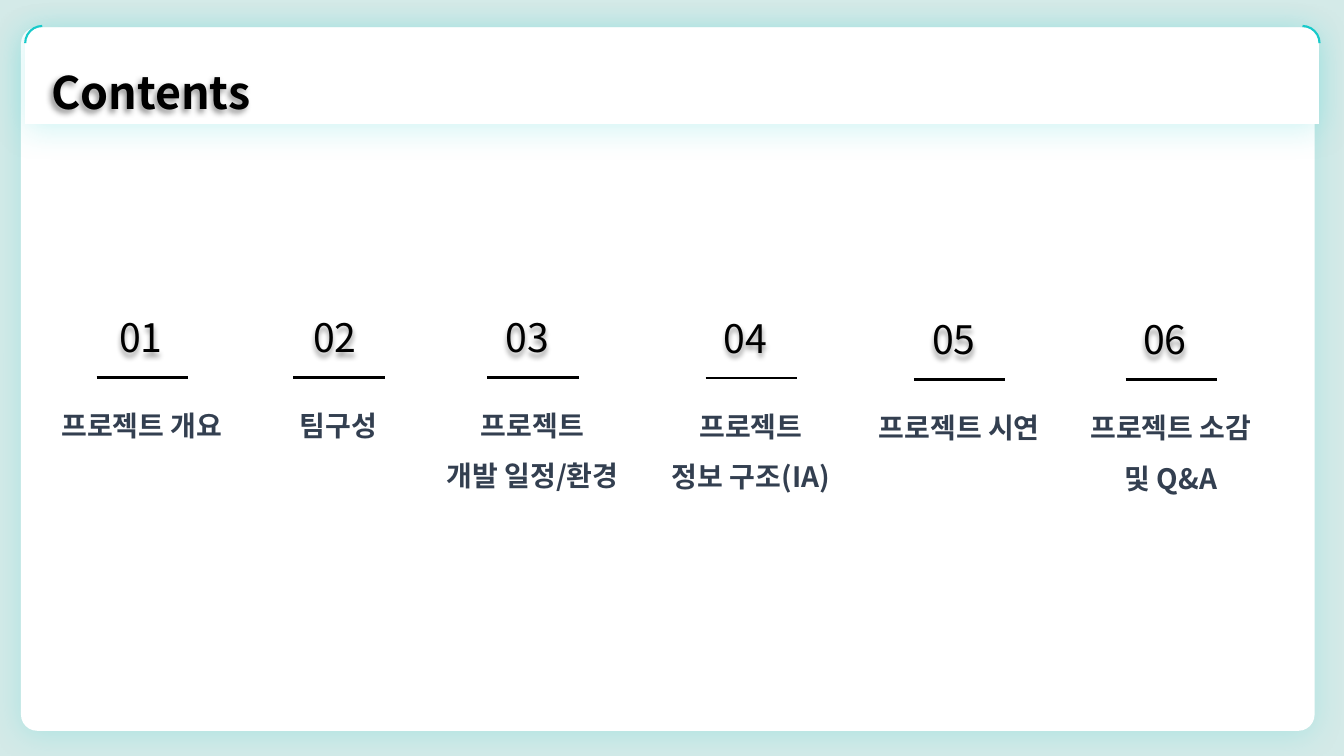
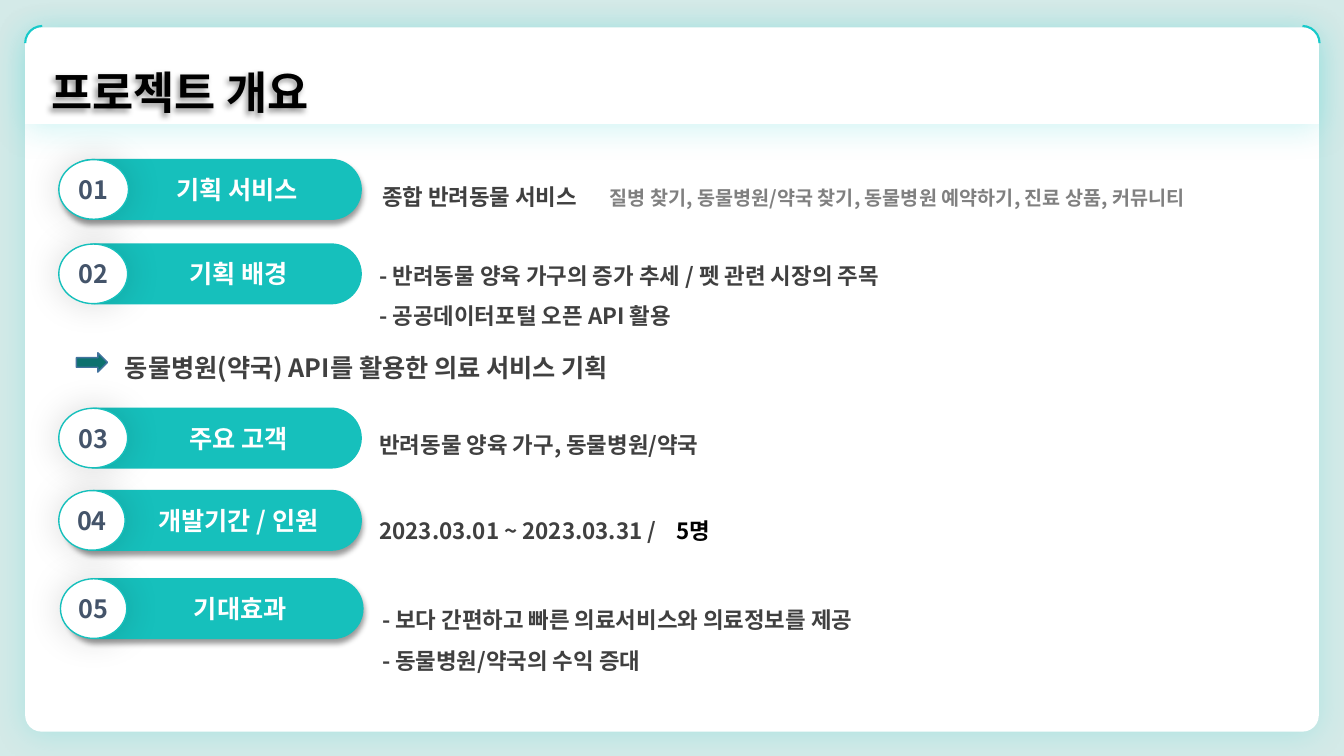
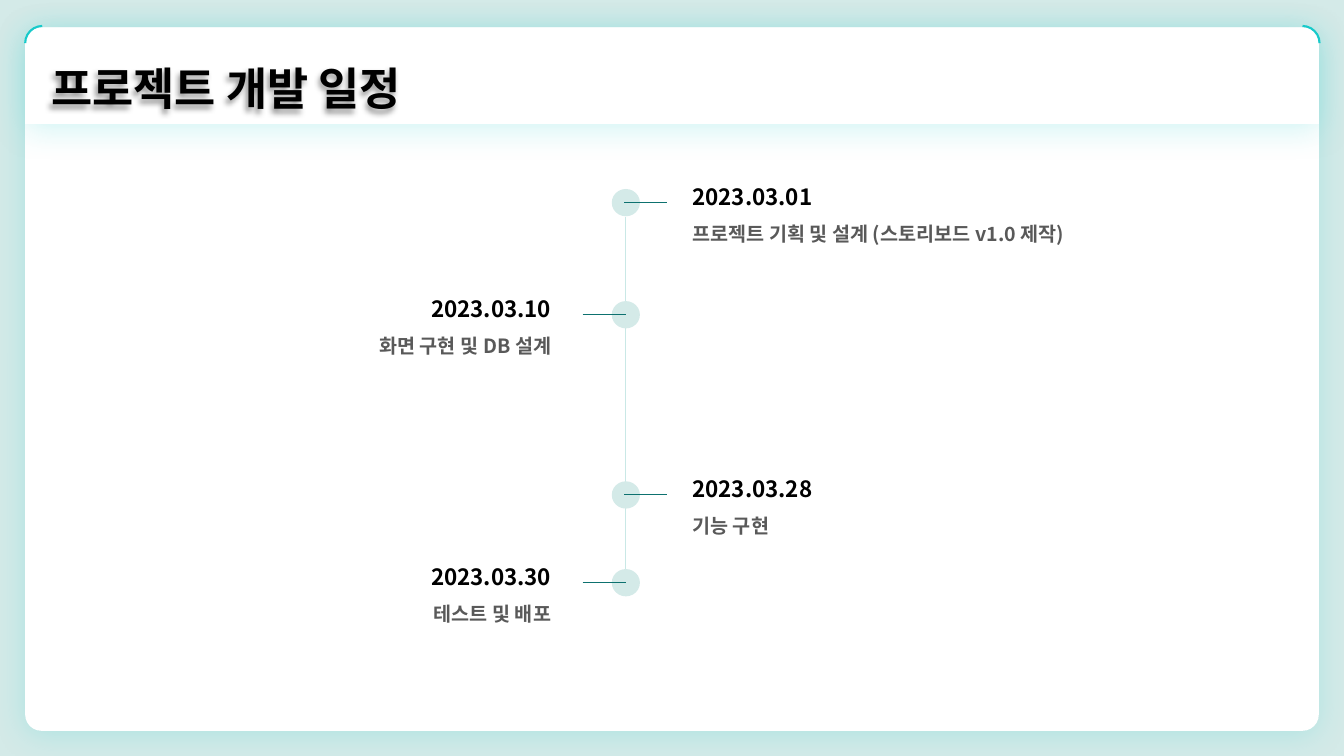
from dataclasses import dataclass
from typing import NamedTuple, Optional

from lxml import etree
from pptx import Presentation
from pptx.dml.color import RGBColor
from pptx.enum.shapes import MSO_CONNECTOR, MSO_SHAPE
from pptx.enum.text import MSO_ANCHOR, MSO_AUTO_SIZE, PP_ALIGN
from pptx.oxml.ns import qn
from pptx.util import Emu, Inches, Pt

LEFT, MID, RIGHT = PP_ALIGN.LEFT, PP_ALIGN.CENTER, PP_ALIGN.RIGHT
CARD, BAND = MSO_SHAPE.ROUNDED_RECTANGLE, MSO_SHAPE.ROUND_2_SAME_RECTANGLE
ARC, OVAL, ARROW = MSO_SHAPE.ARC, MSO_SHAPE.OVAL, MSO_SHAPE.RIGHT_ARROW
LINE = MSO_CONNECTOR.STRAIGHT
MIDDLE, GROW = MSO_ANCHOR.MIDDLE, MSO_AUTO_SIZE.SHAPE_TO_FIT_TEXT

# Grid: 160 columns by 90 rows of square cells
COLS, ROWS = 160, 90
CELL = Inches(7.5) / ROWS


# Theme
@dataclass(frozen=True)
class Theme:
    font: str = "Noto Sans CJK KR"
    back: str = "D4EAE8"
    white: str = "FFFFFF"
    black: str = "000000"
    glow: str = "18CACA"
    teal: str = "16C0BC"
    deep: str = "0D716F"
    edge: str = "43739E"
    axis: str = "C9E8E6"
    navy: str = "333F50"
    slate: str = "44546A"
    body: str = "404040"
    soft: str = "595959"
    pale: str = "808080"
    title: int = 32
    digit: int = 28
    label: int = 20
    head: int = 18
    text: int = 16
    small: int = 14


T = Theme()


class Box(NamedTuple):
    x: float
    y: float
    w: float
    h: float


class Shade(NamedTuple):
    color: str
    alpha: int
    blur: int
    dist: int
    angle: int


class Part(NamedTuple):
    text: str
    size: int
    color: str
    bold: bool = True


class Pen(NamedTuple):
    color: str
    width: float


Para = list[Part]

HALO = Shade(T.glow, 20, 23, 3, 90)
LIFT = Shade(T.black, 40, 4, 3, 90)
MIST = Shade(T.black, 14, 26, 0, 0)
CAST = Shade(T.black, 40, 4, 3, 135)


# Drawing tools
def cells(*nums: float) -> list[Emu]:
    return [Emu(round(n * CELL)) for n in nums]


def rgb(code: str) -> RGBColor:
    return RGBColor.from_string(code)


def cast(shape, shade: Optional[Shade]) -> None:
    shape.shadow.inherit = False
    if shade is None:
        return
    effects = shape._element.spPr.find(qn("a:effectLst"))
    outer = etree.SubElement(effects, qn("a:outerShdw"), {
        "blurRad": str(Pt(shade.blur)), "dist": str(Pt(shade.dist)),
        "dir": str(shade.angle * 60000), "algn": "ctr", "rotWithShape": "0"})
    tint = etree.SubElement(outer, qn("a:srgbClr"), val=shade.color)
    etree.SubElement(tint, qn("a:alpha"), val=str(shade.alpha * 1000))


def write(shape, paras: list[Para], align: PP_ALIGN = LEFT,
          space: Optional[float] = None, tab: float = 0) -> None:
    frame = shape.text_frame
    for i, parts in enumerate(paras):
        para = frame.paragraphs[0] if i == 0 else frame.add_paragraph()
        para.alignment = align
        if space:
            para.line_spacing = space
        if tab:
            stops = etree.SubElement(para._p.get_or_add_pPr(), qn("a:tabLst"))
            etree.SubElement(stops, qn("a:tab"),
                             pos=str(cells(tab)[0]), algn="l")
        for part in parts:
            run = para.add_run()
            run.text = part.text
            font = run.font
            font.name, font.size, font.bold = T.font, Pt(part.size), part.bold
            font.color.rgb = rgb(part.color)
            etree.SubElement(run._r.rPr, qn("a:ea"), typeface=T.font)


def shape(slide, kind: MSO_SHAPE, box: Box, fill: Optional[str] = None,
          pen: Optional[Pen] = None, shade: Optional[Shade] = None,
          adj: tuple[float, ...] = ()):
    item = slide.shapes.add_shape(kind, *cells(*box))
    for i, value in enumerate(adj):
        item.adjustments[i] = value
    if fill:
        item.fill.solid()
        item.fill.fore_color.rgb = rgb(fill)
    else:
        item.fill.background()
    if pen:
        item.line.color.rgb = rgb(pen.color)
        item.line.width = Pt(pen.width)
    else:
        item.line.fill.background()
    cast(item, shade)
    return item


def text(slide, box: Box, paras: list[Para], align: PP_ALIGN = LEFT,
         space: Optional[float] = None, tab: float = 0,
         shade: Optional[Shade] = None) -> None:
    item = slide.shapes.add_textbox(*cells(*box))
    item.text_frame.word_wrap = True
    item.text_frame.auto_size = GROW
    write(item, paras, align, space, tab)
    if shade:
        cast(item, shade)


def line(slide, x1: float, y1: float, x2: float, y2: float, pen: Pen) -> None:
    item = slide.shapes.add_connector(LINE, *cells(x1, y1, x2, y2))
    item.line.color.rgb = rgb(pen.color)
    item.line.width = Pt(pen.width)
    etree.SubElement(item._element.spPr, qn("a:effectLst"))


# Shared frame: card, title band, corner arcs, title
def page(deck, title: str, x: float = 3, y: float = 3.25,
         top: float = 7.1, wide: float = 56.2):
    slide = deck.slides.add_slide(deck.slide_layouts[6])
    shape(slide, CARD, Box(x, y, 154, 83.75), T.white, shade=HALO,
          adj=(0.023,))
    shape(slide, BAND, Box(3, 3.25, 154, 11.5), T.white, shade=HALO)
    for left, flip in ((3, "0"), (153, "1")):
        arc = shape(slide, ARC, Box(left, 3.1, 4.1, 4.1),
                    pen=Pen(T.glow, 1.5), adj=(108.1, 161.63))
        arc._element.spPr.xfrm.set("flipH", flip)
    text(slide, Box(4.9, top, wide, 7.7), [[Part(title, T.title, T.black)]],
         shade=CAST)
    return slide


# Contents
class Topic(NamedTuple):
    x: float
    digit: float
    drop: float
    lines: tuple[str, ...]


TOPICS = (
    Topic(3.7, 13, 0, ("프로젝트 개요",)),
    Topic(27.1, 36.1, 0, ("팀구성",)),
    Topic(50.2, 59, 0, ("프로젝트", "개발 일정/환경")),
    Topic(76.2, 85, 0.1, ("프로젝트", "정보 구조(IA)")),
    Topic(101, 109.8, 0.3, ("프로젝트 시연",)),
    Topic(126.2, 134.9, 0.3, ("프로젝트 소감", "및 Q&A")),
)


def contents(deck) -> None:
    slide = page(deck, "Contents", x=2.5)
    for i, topic in enumerate(TOPICS, 1):
        text(slide, Box(topic.digit, 36.7 + topic.drop, 15, 6.8),
             [[Part(f"{i:02}", T.digit, T.black, False)]], shade=LIFT)
        rule, y = topic.x + 7.8, 44.9 + topic.drop
        line(slide, rule, y, rule + 10.9, y, Pen(T.black, 2))
        text(slide, Box(topic.x, 46 + topic.drop, 26.4,
                        6.65 * len(topic.lines)),
             [[Part(s, T.label, T.navy)] for s in topic.lines], MID, 1.5)


# Overview
class Item(NamedTuple):
    name: str
    y: float
    edge: float
    inset: float
    badge: float
    shade: Optional[Shade]
    note: Box
    paras: list[Para]
    tab: float = 0


def body(words: str) -> Part:
    return Part(words, T.text, T.body)


ITEMS = (
    Item("기획 서비스", 19, 7, 0.4, 8.3, LIFT, Box(44.3, 19.6, 111.7, 6),
         [[body("종합 반려동물 서비스\t"),
           Part("질병 찾기, 동물병원/약국 찾기, 동물병원 예약하기, "
                "진료 상품, 커뮤니티", T.small, T.pale)]], 27.1),
    Item("기획 배경", 29.05, 7, 0.9, 8.2, None, Box(44, 29, 86.8, 10.9),
         [[body("- 반려동물 양육 가구의 증가 추세 / 펫 관련 시장의 주목")],
          [body("- 공공데이터포털 오픈 API 활용")]]),
    Item("주요 고객", 48.6, 7, 0.9, 8.2, None, Box(44, 49.1, 109, 5.6),
         [[body("반려동물 양육 가구, 동물병원/약국")]]),
    Item("개발기간 / 인원", 58.4, 7, 0.8, 7.9, LIFT, Box(44, 59.4, 109, 6),
         [[body("2023.03.01 ~ 2023.03.31 /\t"),
           Part("5명", T.text, T.black)]], 35.4),
    Item("기대효과", 68.9, 7.2, 0.8, 7.9, LIFT, Box(44.3, 70, 109, 10.4),
         [[body("- 보다 간편하고 빠른 의료서비스와 의료정보를 제공")],
          [body("- 동물병원/약국의 수익 증대")]]),
)


def overview(deck) -> None:
    slide = page(deck, "프로젝트 개요", y=3.35)
    pen = Pen(T.teal, 1)
    for i, item in enumerate(ITEMS, 1):
        pill = shape(slide, CARD,
                     Box(item.edge + item.inset, item.y,
                         36 - item.inset, 7.1),
                     T.teal, pen, item.shade, (0.5,))
        badge = shape(slide, OVAL, Box(item.edge, item.y, item.badge, 7.1),
                      T.white, pen, MIST)
        for part, words, color in ((pill, item.name, T.white),
                                   (badge, f"{i:02}", T.slate)):
            part.text_frame.vertical_anchor = MIDDLE
            part.text_frame.word_wrap = part is pill
            write(part, [[Part(words, T.head, color)]], MID)
        para = pill.text_frame.paragraphs[0]
        para._p.get_or_add_pPr().set("marL", str(Inches(0.5)))
        text(slide, item.note, item.paras, space=1.5, tab=item.tab)

    # Conclusion
    shape(slide, ARROW, Box(9.1, 42, 3.7, 2.3), T.deep, Pen(T.edge, 1))
    text(slide, Box(13.7, 39.5, 109, 6.7),
         [[Part("동물병원(약국) API를 활용한 의료 서비스 기획",
                T.head, T.body)]], space=1.5)


# Schedule
class Stage(NamedTuple):
    y: float
    date: str
    task: str
    left: bool
    wide: float


STAGES = (
    Stage(24.1, "2023.03.01", "프로젝트 기획 및 설계 (스토리보드 v1.0 제작)",
          False, 53),
    Stage(37.45, "2023.03.10", "화면 구현 및 DB 설계", True, 24.7),
    Stage(58.9, "2023.03.28", "기능 구현", False, 53),
    Stage(69.35, "2023.03.30", "테스트 및 배포", True, 20.5),
)
AXIS = 74.5


def schedule(deck) -> None:
    slide = page(deck, "프로젝트 개발 일정", top=6.7, wide=73)
    line(slide, AXIS, 25.8, AXIS, 70, Pen(T.axis, 0.5))
    for stage in STAGES:
        shape(slide, OVAL, Box(AXIS - 1.67, stage.y - 1.6, 3.35, 3.25),
              T.back)
        start = AXIS - 5.15 if stage.left else AXIS - 0.2
        line(slide, start, stage.y, start + 5.15, stage.y, Pen(T.deep, 1))
        x = 66.8 - stage.wide if stage.left else 81.25
        text(slide, Box(x, stage.y - 4.5, stage.wide, 10.3),
             [[Part(stage.date, T.text, T.black)],
              [Part(stage.task, T.small, T.soft)]],
             RIGHT if stage.left else LEFT, 1.5)


# Deck
def main() -> None:
    deck = Presentation()
    deck.slide_width, deck.slide_height = cells(COLS, ROWS)
    fill = deck.slide_master.background.fill
    fill.solid()
    fill.fore_color.rgb = rgb(T.back)
    for build in (contents, overview, schedule):
        build(deck)
    deck.save("out.pptx")


main()
